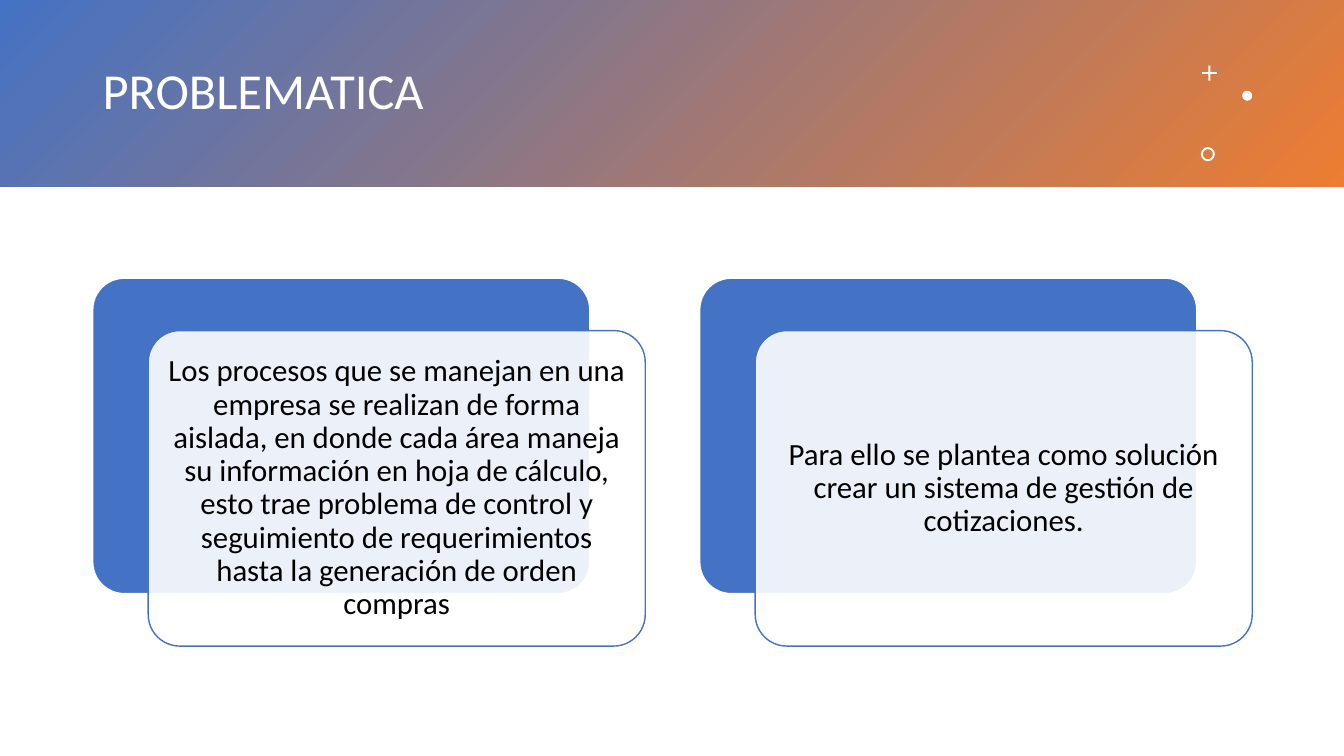
from pptx import Presentation
from pptx.dml.color import RGBColor
from pptx.enum.shapes import MSO_SHAPE as Form
from pptx.enum.text import MSO_ANCHOR as Anchor, PP_ALIGN as Align
from pptx.oxml.ns import qn
from pptx.util import Emu, Pt
from lxml.etree import SubElement

SCALE = 9144  # EMU in one px, 100 px to the inch
WIDE, HIGH = 1333, 750

BLUE = RGBColor(0x44, 0x72, 0xC4)
ORANGE = RGBColor(0xED, 0x7D, 0x31)
WHITE = RGBColor(0xFF, 0xFF, 0xFF)
BLACK = RGBColor(0x00, 0x00, 0x00)

CARDS = [
    "Los procesos que se manejan en una empresa se realizan de forma aislada, "
    "en donde cada área maneja su información en hoja de cálculo, esto trae "
    "problema de control y seguimiento de requerimientos hasta la generación "
    "de orden compras",
    "Para ello se plantea como solución crear un sistema de gestión de "
    "cotizaciones.",
]
CARD_LEFT, CARD_TOP = 92, 276
CARD_WIDE, CARD_HIGH = 493, 313
CARD_STEP = 602
SHIFT_X, SHIFT_Y = 55, 52

MARKS = [
    (Form.CROSS, (1192, 65, 15, 15), 0.44),
    (Form.OVAL, (1232, 90, 10, 10), None),
    (Form.DONUT, (1191, 146, 14, 14), 0.14),
]


def px(*sizes):
    return [Emu(size * SCALE) for size in sizes]


def write(frame, text, size, color, align=Align.LEFT, inset=(10, 5)):
    """Fill a text frame; inset is (sides, top and bottom) in px."""
    frame.word_wrap = True
    frame.vertical_anchor = Anchor.MIDDLE
    side, edge = px(*inset)
    frame.margin_left = frame.margin_right = side
    frame.margin_top = frame.margin_bottom = edge
    para = frame.paragraphs[0]
    para.alignment = align
    para.line_spacing = 0.9
    run = para.add_run()
    run.text = text
    run.font.name = "Calibri"
    run.font.size = Pt(size)
    run.font.color.rgb = color


class Page:
    font_size = 22
    title_size = 36
    corner = 0.1

    def __init__(self, deck):
        self.slide = deck.slides.add_slide(deck.slide_layouts[6])

    def shape(self, form, box, fill=None, line=None, adjust=None, alpha=None):
        """Add a preset shape; alpha is its opacity in percent."""
        item = self.slide.shapes.add_shape(form, *px(*box))
        item.shadow.inherit = False
        if adjust is not None:
            item.adjustments[0] = adjust
        if fill is not None:
            item.fill.solid()
            item.fill.fore_color.rgb = fill
        if alpha is not None:
            tint = item.fill._xPr.find(qn("a:solidFill"))[0]
            SubElement(tint, qn("a:alpha"), val=str(alpha * 1000))
        if line is None:
            item.line.fill.background()
        else:
            item.line.color.rgb = line
            item.line.width = Pt(1)
        return item

    def band(self, box, start, end):
        fill = self.shape(Form.RECTANGLE, box).fill
        fill.gradient()
        fill.gradient_angle = 315
        for stop, color in zip(fill.gradient_stops, (start, end)):
            stop.color.rgb = color

    def title(self, box, text):
        item = self.slide.shapes.add_textbox(*px(*box))
        write(item.text_frame, text, self.title_size, WHITE)

    def card(self, left, top, text):
        """Add a blue panel with a translucent text panel shifted over it."""
        self.shape(Form.ROUNDED_RECTANGLE, (left, top, CARD_WIDE, CARD_HIGH),
                   BLUE, WHITE, self.corner)
        box = (left + SHIFT_X, top + SHIFT_Y, CARD_WIDE, CARD_HIGH)
        front = self.shape(Form.ROUNDED_RECTANGLE, box, WHITE, BLUE,
                           self.corner, alpha=90)
        write(front.text_frame, text, self.font_size, BLACK,
              align=Align.CENTER, inset=(9, 9))


def main():
    deck = Presentation()
    deck.slide_width, deck.slide_height = px(WIDE, HIGH)
    page = Page(deck)
    page.band((0, 0, WIDE, 185), BLUE, ORANGE)
    page.title((92, 33, 1075, 119), "PROBLEMATICA")
    for form, box, adjust in MARKS:
        page.shape(form, box, WHITE, adjust=adjust)
    for index, text in enumerate(CARDS):
        page.card(CARD_LEFT + index * CARD_STEP, CARD_TOP, text)
    deck.save("out.pptx")


if __name__ == "__main__":
    main()
